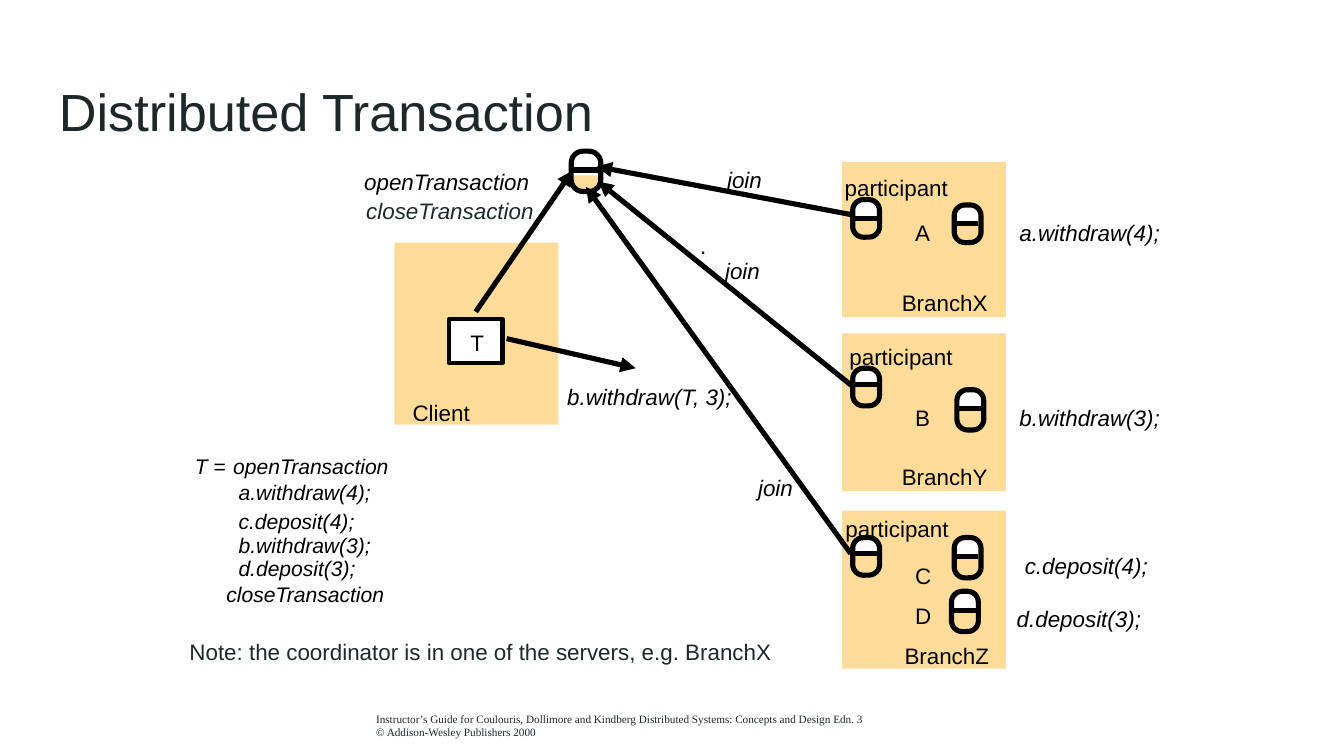
from dataclasses import dataclass

from lxml import etree
from pptx import Presentation
from pptx.dml.color import RGBColor
from pptx.enum.shapes import MSO_CONNECTOR, MSO_SHAPE
from pptx.oxml.ns import qn
from pptx.util import Inches, Pt

RECTANGLE = MSO_SHAPE.RECTANGLE
ROUNDED = MSO_SHAPE.ROUNDED_RECTANGLE
STRAIGHT = MSO_CONNECTOR.STRAIGHT
COLORS = {"ink": "000000", "text": "202729", "panel": "FFDC99", "paper": "FFFFFF"}
STROKE = 2.75
BLANK_LAYOUT = 6
CAPSULE_CORNER = 0.4
LINE_HEIGHT = 2
PANEL_WIDTH = 12.2
CODE_SIZE = 11.3

presentation = Presentation()
presentation.slide_width = Pt(720)
presentation.slide_height = Pt(405)
COLUMN = presentation.slide_width / 100
ROW = presentation.slide_height / 56.25
slide = presentation.slides.add_slide(presentation.slide_layouts[BLANK_LAYOUT])


@dataclass
class Panel:
    left: float
    top: float
    width: float
    height: float


@dataclass
class Capsule:
    left: float
    top: float
    height: float
    divider: float
    width: float = 2
    on_paper: bool = False


@dataclass
class Label:
    text: str
    left: float
    top: float
    width: float
    italic: bool = False
    size: float = 12
    color: str = "ink"


@dataclass
class Arrow:
    start: tuple[float, float]
    end: tuple[float, float]


def color(name: str) -> RGBColor:
    return RGBColor.from_string(COLORS[name])


def place(left: float, top: float, width: float, height: float) -> tuple[int, ...]:
    return round(left * COLUMN), round(top * ROW), round(width * COLUMN), round(height * ROW)


def draw_shape(kind, panel: Panel, fill: str = "", line_width: float = 0):
    shape = slide.shapes.add_shape(
        kind, *place(panel.left, panel.top, panel.width, panel.height))
    shape.shadow.inherit = False
    if fill:
        shape.fill.solid()
        shape.fill.fore_color.rgb = color(fill)
    else:
        shape.fill.background()
    if line_width:
        shape.line.color.rgb = color("ink")
        shape.line.width = Pt(line_width)
    else:
        shape.line.fill.background()
    return shape


def draw_line(start: tuple[float, float], end: tuple[float, float], head: bool = False) -> None:
    connector = slide.shapes.add_connector(STRAIGHT, *place(*start, *end))
    connector.line.color.rgb = color("ink")
    connector.line.width = Pt(STROKE)
    if head:
        etree.SubElement(connector.line._get_or_add_ln(), qn("a:tailEnd"), type="triangle")
    etree.SubElement(connector._element.spPr, qn("a:effectLst"))


def draw_capsule(capsule: Capsule) -> None:
    middle = capsule.top + capsule.divider
    body = Panel(capsule.left, capsule.top, capsule.width, capsule.height)
    upper = Panel(capsule.left, capsule.top, capsule.width, capsule.divider + 0.4)
    lower = Panel(capsule.left, middle, capsule.width, capsule.height - capsule.divider)
    base, cover, half = (("panel", "paper", upper) if capsule.on_paper
                         else ("paper", "panel", lower))
    draw_shape(ROUNDED, body, base).adjustments[0] = CAPSULE_CORNER
    draw_shape(RECTANGLE, half, cover)
    draw_shape(ROUNDED, body, line_width=STROKE).adjustments[0] = CAPSULE_CORNER
    draw_line((capsule.left, middle), (capsule.left + capsule.width - 0.2, middle))


def format_run(run, size: float, ink: str, font: str, italic: bool) -> None:
    run.font.name = font
    run.font.size = Pt(size)
    run.font.color.rgb = color(ink)
    run.font.italic = italic


def draw_text(text: str, box: Panel, size: float, ink: str, font: str = "Arial",
              italic: bool = False, margins: tuple[float, float] = (0, 0)):
    text_box = slide.shapes.add_textbox(*place(box.left, box.top, box.width, box.height))
    frame = text_box.text_frame
    frame.word_wrap = True
    frame.margin_left = frame.margin_right = Inches(margins[0])
    frame.margin_top = frame.margin_bottom = Inches(margins[1])
    paragraph = frame.paragraphs[0]
    paragraph.text = text
    for run in paragraph.runs:
        format_run(run, size, ink, font, italic)
    return paragraph


def draw_label(label: Label):
    box = Panel(label.left, label.top, label.width + 0.5, LINE_HEIGHT)
    return draw_text(label.text, box, label.size, label.color, italic=label.italic)


BRANCH_PANELS = [Panel(62.65, top, PANEL_WIDTH, height)
                 for top, height in ((12.05, 11.55), (24.8, 11.75), (38, 11.75))]
CLIENT_PANEL = Panel(29.35, 18.05, PANEL_WIDTH, 13.55)
CAPSULES = [
    Capsule(42.5, 11.25, 3, 1.4, 2.2, on_paper=True),
    Capsule(63.45, 14.85, 2.8, 1.4),
    Capsule(71, 15.25, 2.8, 1.4),
    Capsule(63.45, 27.4, 2.8, 1.2),
    Capsule(71.2, 29, 3, 1.4),
    Capsule(63.45, 40, 2.8, 1.2),
    Capsule(71, 40, 3, 1.4),
    Capsule(70.8, 44, 3, 1.4),
]
ARROWS = [
    Arrow((63.5, 16), (44.4, 12.4)),
    Arrow((63.5, 28.8), (44.5, 13.5)),
    Arrow((63.3, 41.2), (43.6, 13.9)),
    Arrow((37.7, 25.2), (47.3, 27.4)),
    Arrow((35.4, 23.2), (42.6, 12.7)),
]
LABELS = [
    Label(".", 52.1, 17.3, 0.5),
    Label("BranchX", 67.1, 21.5, 6.4),
    Label("BranchY", 67.1, 34.5, 6.4),
    Label("BranchZ", 67.3, 47.8, 6.3),
    Label("participant", 62.85, 12.95, 7.7),
    Label("participant", 63.2, 25.55, 7.7),
    Label("participant", 62.9, 38.3, 7.7),
    Label("A", 68.1, 16.3, 1.1),
    Label("B", 68.1, 30.1, 1.1),
    Label("C", 68.1, 41.85, 1.2),
    Label("D", 68.1, 44.8, 1.2),
    Label("Client", 30.7, 29.7, 4.3),
    Label("T", 35, 24.5, 1),
    Label("join", 54.1, 12.35, 2.6, True),
    Label("join", 53.95, 19.1, 2.6, True),
    Label("join", 56.4, 35.3, 2.6, True),
    Label("a.withdraw(4);", 75.85, 16.3, 10.5, True),
    Label("b.withdraw(3);", 75.85, 30.1, 10.5, True),
    Label("c.deposit(4);", 76.25, 41.1, 9.2, True),
    Label("d.deposit(3);", 75.65, 45.05, 9.3, True),
    Label("openTransaction", 27.1, 12.5, 12.3, True),
    Label("closeTransaction", 27.25, 14.7, 12.5, True, color="text"),
    Label("b.withdraw(T, 3);", 42.2, 28.5, 12.3, True),
    Label("openTransaction", 17.35, 33.75, 11.7, True, CODE_SIZE),
    Label("a.withdraw(4);", 17.75, 35.7, 10, True, CODE_SIZE),
    Label("c.deposit(4);", 17.75, 37.85, 8.8, True, CODE_SIZE),
    Label("b.withdraw(3);", 17.75, 39.6, 10, True, CODE_SIZE),
    Label("d.deposit(3);", 17.75, 41.35, 8.9, True, CODE_SIZE),
    Label("closeTransaction", 16.85, 43.3, 12, True, CODE_SIZE),
    Label("Note: the coordinator is in one of the servers, e.g. BranchX",
          14.1, 47.45, 44, color="text"),
]

draw_text("Instructor’s Guide for Coulouris, Dollimore and Kindberg Distributed Systems: "
          "Concepts and Design Edn. 3\v© Addison-Wesley Publishers 2000",
          Panel(27, 52.5, 49.4, 2.3), 6, "text", "Times New Roman", margins=(0.1, 0.05))
for panel in [CLIENT_PANEL, *BRANCH_PANELS]:
    draw_shape(RECTANGLE, panel, "panel")
draw_shape(RECTANGLE, Panel(33.4, 23.75, 4, 3.25), "paper", 2.25)
for capsule in CAPSULES:
    draw_capsule(capsule)
for arrow in ARROWS:
    draw_line(arrow.start, arrow.end, head=True)
for label in LABELS:
    draw_label(label)
assignment = draw_label(Label("T ", 14.5, 33.75, 2.2, True, CODE_SIZE))
equals_sign = assignment.add_run()
equals_sign.text = "="
format_run(equals_sign, CODE_SIZE, "ink", "Arial", False)
draw_text("Distributed Transaction", Panel(3.4, 4.9, 93.2, 6.3), 28, "text",
          margins=(0.1, 0.1))

presentation.save("out.pptx")
